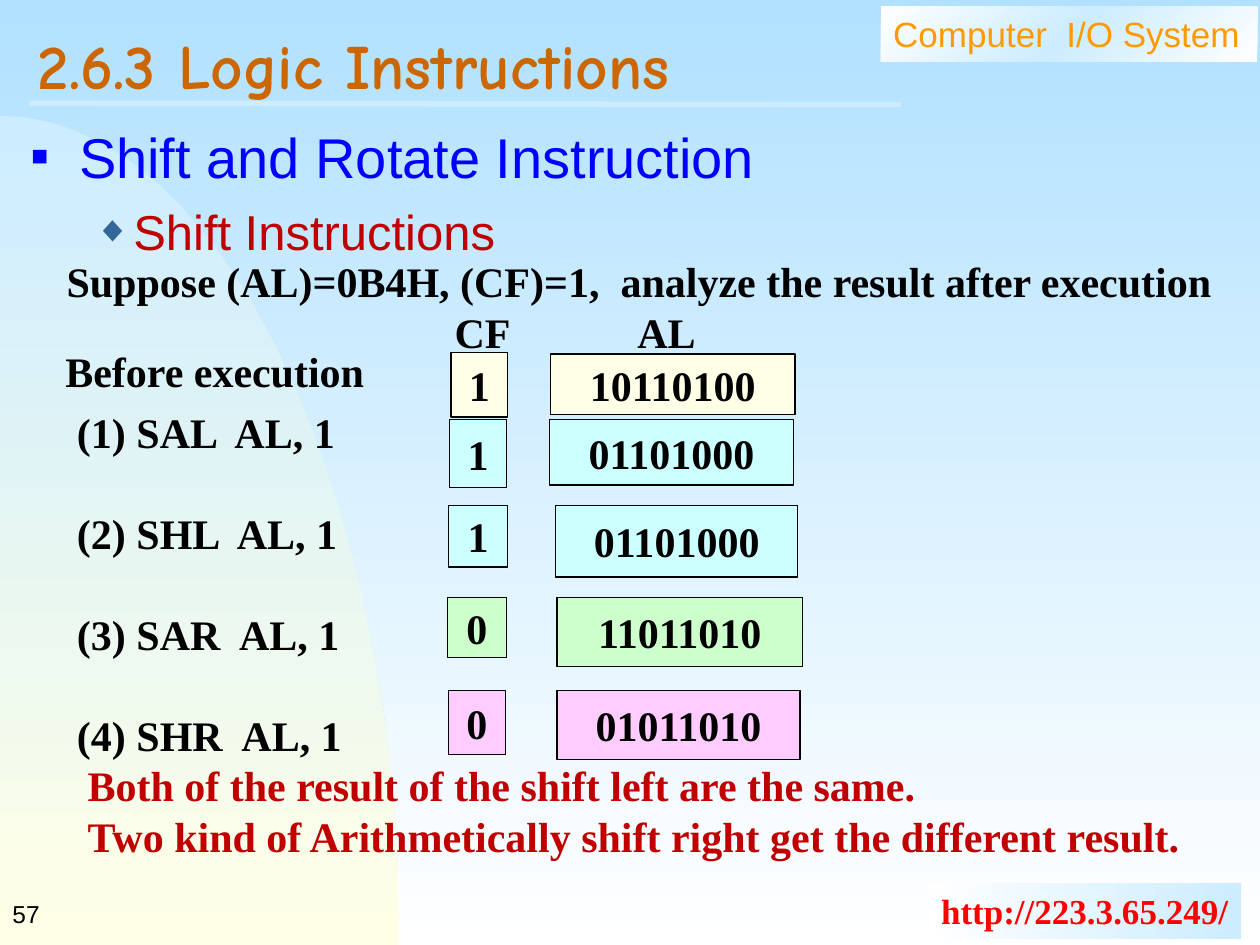
from dataclasses import dataclass
from lxml.etree import SubElement
from pptx import Presentation
from pptx.dml.color import RGBColor
from pptx.enum.shapes import MSO_CONNECTOR, MSO_SHAPE
from pptx.enum.text import MSO_ANCHOR as Anchor, PP_ALIGN as Align
from pptx.oxml.ns import qn
from pptx.util import Inches, Pt

COLUMNS, ROWS = 100, 75
WIDTH, HEIGHT = Inches(10), Inches(7.5)


@dataclass(frozen=True)
class Theme:
    sans: str = "Arial"
    serif: str = "Times New Roman"
    display: str = "Comic Neue"
    black: str = "000000"
    white: str = "FFFFFF"
    sky: str = "B1E1FF"
    ice: str = "CCECFF"
    cream: str = "FFFFE7"
    cyan: str = "CCFFFF"
    green: str = "CCFFCC"
    pink: str = "FFCCFF"
    brown: str = "CC6600"
    orange: str = "FF9900"
    blue: str = "0000FF"
    steel: str = "336699"
    crimson: str = "C00000"
    red: str = "FF0000"
    title: int = 36
    heading: int = 32
    subheading: int = 28
    body: int = 24
    banner: int = 20
    number: int = 14
    line: float = 28.8


THEME = Theme()


def across(columns):
    return round(WIDTH * columns / COLUMNS)


def down(rows):
    return round(HEIGHT * rows / ROWS)


def place(box):
    left, top, width, height = box
    return across(left), down(top), across(width), down(height)


def style(paragraph, size, color, face=THEME.serif, bold=False):
    font = paragraph.font
    font.size, font.name, font.bold = Pt(size), face, bold
    font.color.rgb = RGBColor.from_string(color)


def indent(paragraph, margin, first=0):
    properties = paragraph._p.get_or_add_pPr()
    properties.set("marL", str(across(margin)))
    properties.set("indent", str(across(first)))
    return properties


def add_bullet(paragraph, symbol, color, percent, margin, hanging):
    properties = indent(paragraph, margin, -hanging)
    SubElement(SubElement(properties, qn("a:buClr")), qn("a:srgbClr"), val=color)
    SubElement(properties, qn("a:buSzPct"), val=str(percent * 1000))
    SubElement(properties, qn("a:buFont"), typeface=THEME.sans)
    SubElement(properties, qn("a:buChar"), char=symbol)


def add_tabs(paragraph, stops):
    tabs = SubElement(paragraph._p.get_or_add_pPr(), qn("a:tabLst"))
    for stop in stops:
        SubElement(tabs, qn("a:tab"), pos=str(across(stop)), algn="l")


def blend(owner, fill, colors, angle):
    fill.gradient()
    fill.gradient_angle = (360 - angle) % 360
    stops = next(owner.iter(qn("a:gsLst")))
    for stop in list(stops):
        stops.remove(stop)
    for index, color in enumerate(colors):
        position = 100000 * index // (len(colors) - 1)
        stop = SubElement(stops, qn("a:gs"), pos=str(position))
        SubElement(stop, qn("a:srgbClr"), val=color)


def add_text(slide, box, anchor=Anchor.TOP):
    frame = slide.shapes.add_textbox(*place(box)).text_frame
    frame.word_wrap, frame.vertical_anchor = True, anchor
    return frame


def add_lines(frame, lines):
    paragraphs = [frame.paragraphs[0]] + [frame.add_paragraph() for _ in lines[1:]]
    for paragraph, line in zip(paragraphs, lines):
        paragraph.text = line
    return paragraphs


def add_rectangle(slide, box):
    shape = slide.shapes.add_shape(MSO_SHAPE.RECTANGLE, *place(box))
    shape.shadow.inherit = False
    shape.text_frame.word_wrap = False
    return shape


def draw_backdrop(slide, box):
    blend(slide.element, slide.background.fill, (THEME.sky, THEME.white), 90)
    left, top, width, height = place(box)
    steps = 48
    curve = []
    for step in range(steps + 1):
        t = step / steps
        x = 3 * (1 - t) ** 2 * t * 0.55 + 3 * (1 - t) * t ** 2 + t ** 3
        y = 3 * (1 - t) * t ** 2 * 0.45 + t ** 3
        curve.append((round(left + width * x), round(top + height * y)))
    builder = slide.shapes.build_freeform(*curve[0])
    builder.add_line_segments(curve[1:] + [(left, top + height)], close=True)
    hill = builder.convert_to_shape()
    hill.shadow.inherit = False
    hill.line.fill.background()
    blend(hill.element, hill.fill, (THEME.ice, THEME.cream), 90)


def draw_banner(slide, box, text, colors, angle, ink, face, bold):
    shape = add_rectangle(slide, box)
    blend(shape.element, shape.fill, colors, angle)
    shape.line.fill.background()
    shape.text_frame.vertical_anchor = Anchor.TOP
    paragraph = shape.text_frame.paragraphs[0]
    paragraph.text, paragraph.alignment = text, Align.LEFT
    style(paragraph, THEME.banner, ink, face, bold)


def draw_title(slide, box, text):
    rule = slide.shapes.add_connector(
        MSO_CONNECTOR.STRAIGHT, across(2.3), down(8.2), across(71.5), down(8.3))
    rule.line.color.rgb = RGBColor.from_string(THEME.ice)
    rule.line.width = Pt(3)
    SubElement(rule.element.spPr, qn("a:effectLst"))
    title = slide.shapes.title
    slide.shapes._spTree.append(title.element)
    title.left, title.top, title.width, title.height = place(box)
    title.text_frame.vertical_anchor = Anchor.MIDDLE
    paragraph = title.text_frame.paragraphs[0]
    paragraph.text, paragraph.alignment = text, Align.LEFT
    paragraph.line_spacing = 0.7
    style(paragraph, THEME.title, THEME.brown, THEME.display, True)


def draw_headings(slide, box):
    heading, subheading = add_lines(
        add_text(slide, box), ("Shift and Rotate Instruction", "Shift Instructions"))
    heading.space_before, subheading.space_before = Pt(8), Pt(7)
    subheading.level = 1
    style(heading, THEME.heading, THEME.blue, THEME.sans)
    style(subheading, THEME.subheading, THEME.crimson, THEME.sans)
    add_bullet(heading, "■", THEME.blue, 50, 3.8, 3.8)
    add_bullet(subheading, "◆", THEME.steel, 75, 8.1, 3.1)


def draw_exercise(slide, box):
    instructions = [f"({number}) {name}  AL, 1" for number, name
                    in enumerate(("SAL", "SHL", "SAR", "SHR"), 1)]
    conclusions = [
        "Both of the result of the shift left are the same.",
        "Two kind of Arithmetically shift right get the different result.",
    ]
    question = "Suppose (AL)=0B4H, (CF)=1,  analyze the result after execution"
    lines = [question, "\tCF\tAL", *instructions, *conclusions]
    paragraphs = add_lines(add_text(slide, box), lines)
    for paragraph, line in zip(paragraphs, lines):
        paragraph.line_spacing = Pt(THEME.line)
        color = THEME.crimson if line in conclusions else THEME.black
        style(paragraph, THEME.body, color, bold=True)
        if line in instructions:
            paragraph.space_before = Pt(THEME.line)
            indent(paragraph, 0.83)
        elif line in conclusions:
            indent(paragraph, 1.67)
    add_tabs(paragraphs[1], (30.8, 45.3))


def draw_register(slide, box, value, color):
    shape = add_rectangle(slide, box)
    shape.fill.solid()
    shape.fill.fore_color.rgb = RGBColor.from_string(color)
    shape.line.color.rgb = RGBColor.from_string(THEME.black)
    shape.line.width = Pt(0.75)
    shape.text_frame.vertical_anchor = Anchor.MIDDLE
    paragraph = shape.text_frame.paragraphs[0]
    paragraph.text, paragraph.alignment = value, Align.CENTER
    style(paragraph, THEME.body, THEME.black, bold=True)


def draw_label(slide, box, text, size, face, bold, anchor=Anchor.TOP):
    frame = add_text(slide, box, anchor)
    frame.text = text
    style(frame.paragraphs[0], size, THEME.black, face, bold)


def main():
    presentation = Presentation()
    presentation.slide_width, presentation.slide_height = WIDTH, HEIGHT
    slide = presentation.slides.add_slide(presentation.slide_layouts[5])
    draw_backdrop(slide, (0, 9.2, 31.7, 65.8))
    draw_banner(slide, (69.9, 0.5, 29.9, 4.4), "Computer  I/O System",
                (THEME.white, THEME.ice, THEME.white), 45, THEME.orange, THEME.sans, False)
    draw_banner(slide, (73.7, 70.1, 24.8, 4.4), "http://223.3.65.249/",
                (THEME.white, THEME.ice), 0, THEME.red, THEME.serif, True)
    draw_label(slide, (0, 70, 20.8, 5), "57", THEME.number, THEME.sans, False, Anchor.MIDDLE)
    draw_title(slide, (2, 2, 95.5, 7.7), "2.6.3 Logic Instructions")
    draw_headings(slide, (1.5, 9.2, 65.7, 12.5))
    draw_exercise(slide, (4.3, 19.8, 93.3, 49))
    registers = (
        ("1", (35.8, 28, 4.5, 5.1), "10110100", (43.7, 28.1, 19.4, 4.8), THEME.cream),
        ("1", (35.7, 33.3, 4.5, 5.4), "01101000", (43.6, 33.3, 19.4, 5.2), THEME.cyan),
        ("1", (35.6, 40.1, 4.7, 4.9), "01101000", (44.1, 40.1, 19.2, 5.7), THEME.cyan),
        ("0", (35.5, 47.4, 4.7, 4.8), "11011010", (44.2, 47.4, 19.5, 5.5), THEME.green),
        ("0", (35.6, 54.8, 4.5, 5.1), "01011010", (44.2, 54.8, 19.3, 5.5), THEME.pink),
    )
    for carry, carry_box, bits, bits_box, color in registers:
        draw_register(slide, carry_box, carry, color)
        draw_register(slide, bits_box, bits, color)
    draw_label(slide, (4.2, 26.9, 25.8, 5), "Before execution", THEME.body, THEME.serif, True)
    presentation.save("out.pptx")


if __name__ == "__main__":
    main()
